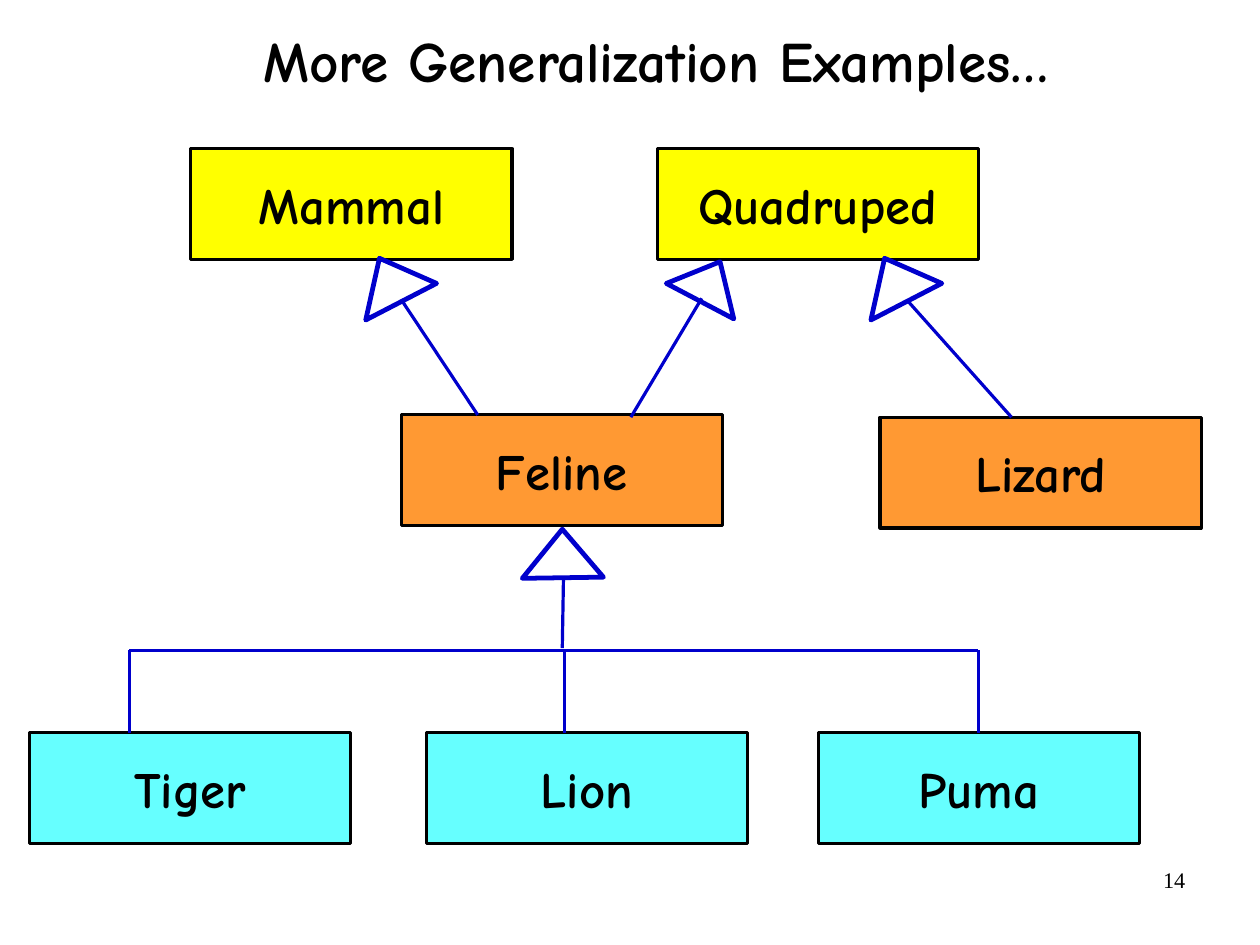
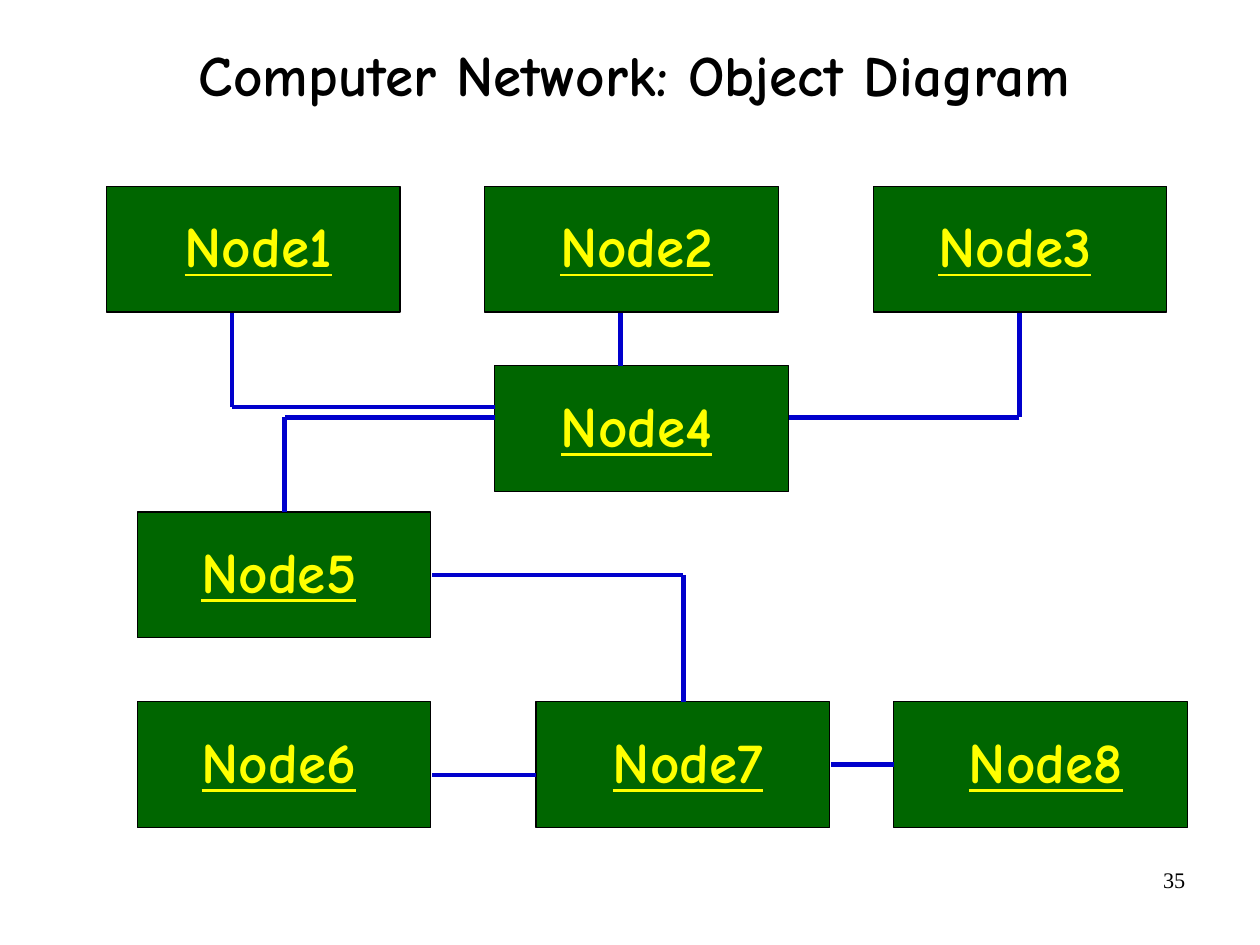
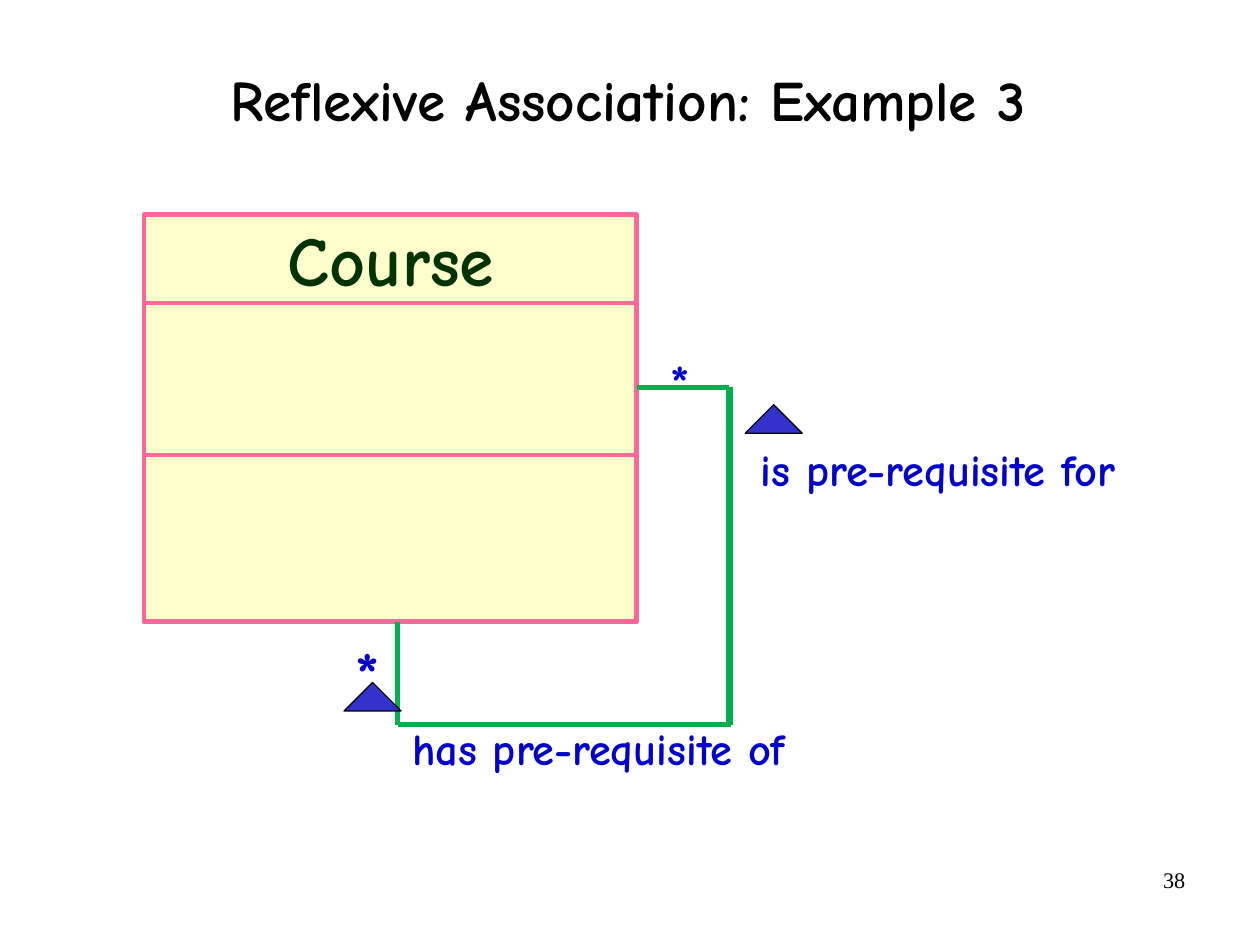
from pptx import Presentation
from pptx.dml.color import RGBColor
from pptx.enum.shapes import MSO_CONNECTOR as CONN, MSO_SHAPE as SHAPE
from pptx.enum.text import MSO_ANCHOR as ANCHOR, PP_ALIGN as ALIGN
from pptx.oxml.ns import qn
from pptx.util import Inches, Pt
from lxml import etree

# Shared style
FONT, NUMBER_FONT = "Comic Neue", "Times New Roman"
BLACK, BLUE, YELLOW = "000000", "0000CC", "FFFF00"
ORANGE, CYAN, GREEN = "FF9933", "66FFFF", "006600"
PINK, CREAM, LINK_GREEN = "FF6699", "FFFFCC", "00B050"
DARK_GREEN, MARKER_BLUE = "003300", "3333CC"
NUMBER_BOX = (7.9, 7.53, 2.57, 0.57)
PAD = (0.1, 0.05, 0.1, 0.05)
CLASS_PAD = (0.11, 0.06, 0.11, 0.06)

# Generalization: class rows as (top, fill, [(name, left)])
CLASS_W, CLASS_H = 2.81, 0.97
CLASSES = [
    (1.3, YELLOW, [("Mammal", 1.67), ("Quadruped", 5.75)]),
    (3.63, ORANGE, [("Feline", 3.51)]),
    (3.65, ORANGE, [("Lizard", 7.7)]),
    (6.41, CYAN, [("Tiger", 0.26), ("Lion", 3.73), ("Puma", 7.16)]),
]
BUS_Y, CHILD_Y, DROPS = 5.69, 6.41, [1.13, 4.94, 8.56]
# Head corners, measured from the tip
HEAD_LEFT = [(-0.12, 0.54), (0.5, 0.22)]
HEAD_RIGHT = [(-0.47, 0.19), (0.12, 0.5)]
HEAD_UP = [(-0.35, 0.43), (0.36, 0.42)]
# (line start, line end, head tip, head corners)
GENERALIZATIONS = [
    ((4.18, 3.63), (3.51, 2.62), (3.32, 2.26), HEAD_LEFT),
    ((5.52, 3.65), (6.14, 2.61), (6.3, 2.29), HEAD_RIGHT),
    ((8.85, 3.65), (7.94, 2.63), (7.74, 2.26), HEAD_LEFT),
    ((4.92, 5.67), (4.93, 5.07), (4.92, 4.63), HEAD_UP),
]

# Network: nodes as (name, left, top, left pad, right pad), links as polylines
NODE_W, NODE_H, NODE_TOP_PAD = 2.57, 1.1, 0.33
NARROW, WIDE = 0.2, 0.29
NODES = [
    ("Node1", 0.93, 1.63, WIDE, NARROW),
    ("Node2", 4.24, 1.63, WIDE, NARROW),
    ("Node3", 7.64, 1.63, NARROW, WIDE),
    ("Node4", 4.33, 3.2, NARROW, WIDE),
    ("Node5", 1.2, 4.48, NARROW, WIDE),
    ("Node6", 1.2, 6.14, NARROW, WIDE),
    ("Node7", 4.69, 6.14, WIDE, NARROW),
    ("Node8", 7.82, 6.14, WIDE, NARROW),
]
LINKS = [
    [(4.33, 3.65), (2.49, 3.65), (2.49, 4.48)],
    [(2.03, 2.74), (2.03, 3.56), (4.33, 3.56)],
    [(5.43, 2.74), (5.43, 3.2)],
    [(8.92, 2.74), (8.92, 3.65), (6.9, 3.65)],
    [(3.78, 5.03), (5.98, 5.03), (5.98, 6.14)],
    [(3.78, 6.78), (4.69, 6.78)],
    [(7.27, 6.69), (7.82, 6.69)],
]

# Reflexive association
COURSE_BOX = (1.26, 1.88, 4.31, 3.56)
DIVIDERS = [2.65, 3.98]
LOOP = [  # (start, end, width)
    ((3.48, 5.44), (3.48, 6.34), 3),
    ((3.48, 6.34), (6.4, 6.34), 3),
    ((6.38, 6.34), (6.38, 3.39), 4.5),
    ((6.38, 3.39), (5.57, 3.39), 3),
]
LABELS = [  # (text, box, size, colour)
    ("Course", (2.42, 1.99, 2.01, 0.69), 44, DARK_GREEN),
    ("has pre-requisite of", (3.51, 6.35, 3.49, 0.48), 28, BLUE),
    ("is pre-requisite for", (6.56, 3.91, 3.34, 0.48), 28, BLUE),
    ("*", (5.77, 3.12, 0.37, 0.53), 32, BLUE),
    ("*", (3.01, 5.63, 0.5, 0.63), 40, BLUE),
]
MARKERS = [(6.52, 3.54), (3.01, 5.97)]
MARKER_W, MARKER_H = 0.5, 0.25


def rgb(color):
    return RGBColor.from_string(color)


def inches(values):
    return [Inches(v) for v in values]


def set_text(sp, text, size, color, font=FONT, bold=True, underline=None,
             align=ALIGN.LEFT, anchor=ANCHOR.TOP, pad=PAD, spacing=1.0, wrap=True):
    tf = sp.text_frame
    tf.word_wrap, tf.vertical_anchor = wrap, anchor
    tf.margin_left, tf.margin_top, tf.margin_right, tf.margin_bottom = inches(pad)
    p = tf.paragraphs[0]
    p.text, p.alignment, p.line_spacing = text, align, spacing
    f = p.font
    f.name, f.size, f.bold, f.underline = font, Pt(size), bold, underline
    f.color.rgb = rgb(color)


def add_text(s, box, text, size, color, **style):
    set_text(s.shapes.add_textbox(*inches(box)), text, size, color, **style)


def style_shape(sp, fill, line, width):
    sp.shadow.inherit = False
    if fill:
        sp.fill.solid()
        sp.fill.fore_color.rgb = rgb(fill)
    else:
        sp.fill.background()
    sp.line.color.rgb = rgb(line)
    sp.line.width = Pt(width)


def add_box(s, box, fill, line, width, kind=SHAPE.RECTANGLE):
    sp = s.shapes.add_shape(kind, *inches(box))
    style_shape(sp, fill, line, width)
    return sp


def add_line(s, start, end, color, width):
    c = s.shapes.add_connector(CONN.STRAIGHT, *inches(start + end))
    c.line.color.rgb = rgb(color)
    c.line.width = Pt(width)
    etree.SubElement(c._element.spPr, qn("a:effectLst"))


def add_head(s, tip, corners):
    x, y = tip
    builder = s.shapes.build_freeform(*inches(tip))
    builder.add_line_segments([inches((x + dx, y + dy)) for dx, dy in corners])
    style_shape(builder.convert_to_shape(), None, BLUE, 3)


def new_slide(prs, title, box, number):
    s = prs.slides.add_slide(prs.slide_layouts[6])
    add_text(s, NUMBER_BOX, number, 14, BLACK, font=NUMBER_FONT, bold=False,
             align=ALIGN.RIGHT)
    add_text(s, box, title, 36, BLACK, align=ALIGN.CENTER, anchor=ANCHOR.MIDDLE,
             pad=(0, 0, 0, 0), spacing=0.88)
    return s


def generalization_slide(prs):
    s = new_slide(prs, "More Generalization Examples…", (0.8, 0.24, 9.88, 0.64), "14")
    for top, fill, row in CLASSES:
        for name, left in row:
            sp = add_box(s, (left, top, CLASS_W, CLASS_H), fill, BLACK, 2)
            set_text(sp, name, 32, BLACK, align=ALIGN.CENTER, anchor=ANCHOR.MIDDLE,
                     pad=CLASS_PAD)
    # Shared branch to the three children
    for x in DROPS:
        add_line(s, (x, CHILD_Y), (x, BUS_Y), BLUE, 2)
    add_line(s, (DROPS[0], BUS_Y), (DROPS[-1], BUS_Y), BLUE, 2)
    for start, end, tip, corners in GENERALIZATIONS:
        add_line(s, start, end, BLUE, 2)
        add_head(s, tip, corners)


def network_slide(prs):
    s = new_slide(prs, "Computer Network: Object Diagram", (0.85, 0, 9.4, 1.37), "35")
    for name, left, top, pad_left, pad_right in NODES:
        sp = add_box(s, (left, top, NODE_W, NODE_H), GREEN, BLACK, 0.75)
        set_text(sp, name, 36, YELLOW, underline=True, align=ALIGN.CENTER,
                 pad=(pad_left, NODE_TOP_PAD, pad_right, 0.06), spacing=0.8)
    for points in LINKS:
        for start, end in zip(points, points[1:]):
            add_line(s, start, end, BLUE, 3)


def association_slide(prs):
    s = new_slide(prs, "Reflexive Association: Example 3", (0.48, 0.22, 10.03, 1.37), "38")
    # Class box with its compartments
    add_box(s, COURSE_BOX, CREAM, PINK, 3)
    left, _, width, _ = COURSE_BOX
    for y in DIVIDERS:
        add_line(s, (left, y), (left + width, y), PINK, 3)
    # Loop back to the same class
    for start, end, weight in LOOP:
        add_line(s, start, end, LINK_GREEN, weight)
    for text, box, size, color in LABELS:
        add_text(s, box, text, size, color, spacing=0.8, wrap=False)
    for x, y in MARKERS:
        add_box(s, (x, y, MARKER_W, MARKER_H), MARKER_BLUE, BLACK, 0.75,
                SHAPE.ISOSCELES_TRIANGLE)


def main():
    prs = Presentation()
    # Page size in points, exact where inches would be rounded
    prs.slide_width = Pt(793.75)
    prs.slide_height = Pt(595.25)
    generalization_slide(prs)
    network_slide(prs)
    association_slide(prs)
    prs.save("out.pptx")


if __name__ == "__main__":
    main()
